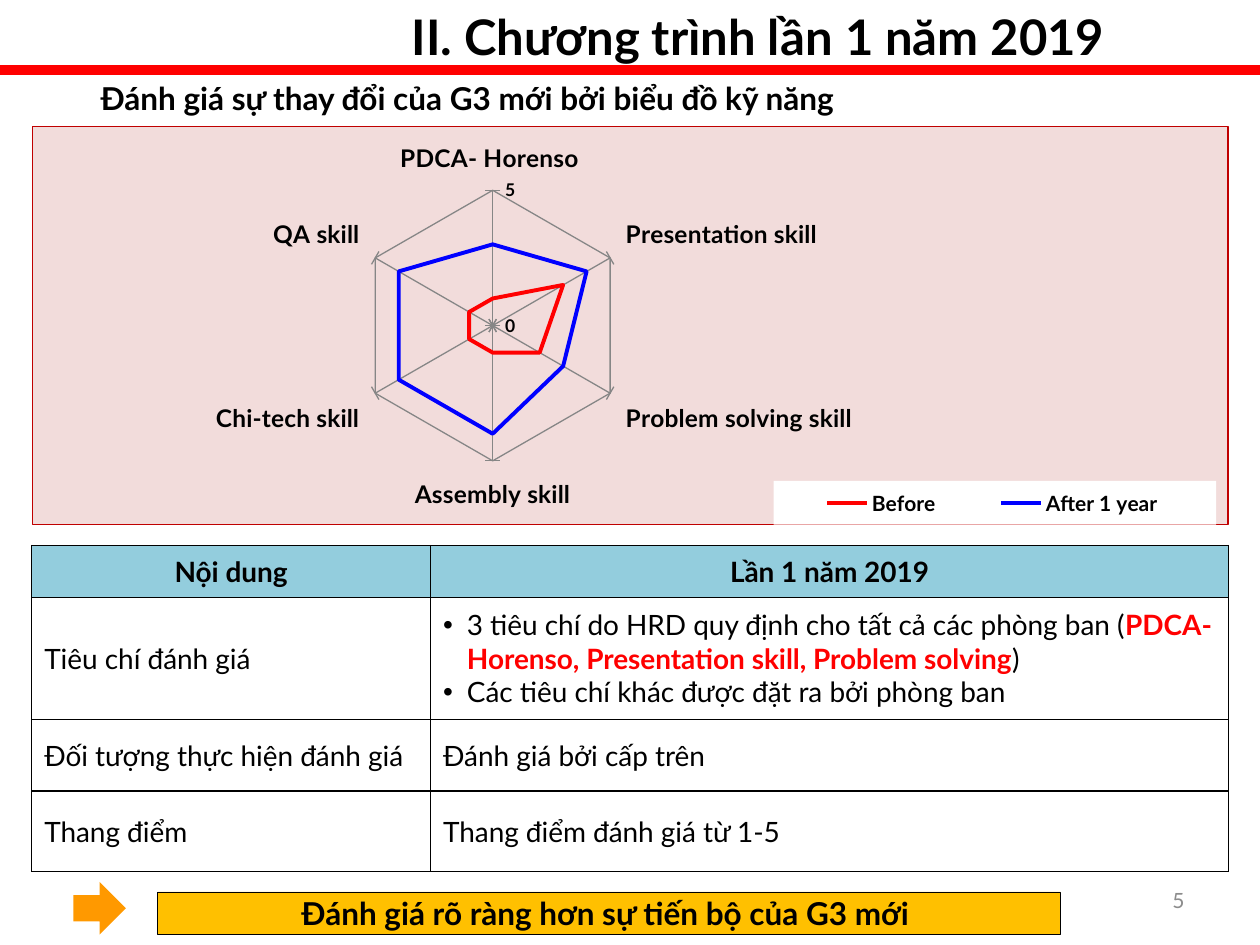
from lxml.etree import SubElement
from pptx import Presentation
from pptx.chart.data import CategoryChartData
from pptx.dml.color import RGBColor
from pptx.enum.chart import XL_CHART_TYPE as ChartType, XL_LEGEND_POSITION as LegendPos
from pptx.enum.chart import XL_TICK_MARK as Tick
from pptx.enum.shapes import MSO_SHAPE as Shape
from pptx.enum.text import MSO_ANCHOR as Anchor, PP_ALIGN as Align
from pptx.oxml import parse_xml
from pptx.oxml.ns import nsdecls, qn
from pptx.util import Cm, Pt

FONT = "Lato"
COLORS = {
    "black": "000000", "white": "FFFFFF", "red": "FF0000", "blue": "0000FF",
    "header": "93CDDD", "amber": "FFC000", "orange": "FF9900",
    "pink": "F2DCDB", "frame": "C00000", "grid": "868686", "number": "8C8C8C",
}
SKILLS = ["PDCA- Horenso ", "Presentation skill", "Problem solving skill",
          "Assembly skill", "Chi-tech skill", "QA skill"]
SCORES = [("Before ", [1, 3, 2, 1, 1, 1], "red"),
          ("After 1 year ", [3, 4, 3, 4, 4, 4], "blue")]
CRITERIA = [
    [("3 tiêu chí do HRD quy định cho tất cả các phòng ban (", {}),
     ("PDCA-Horenso, Presentation skill, Problem solving", {"bold": True, "color": "red"}),
     (")", {})],
    [("Các tiêu chí khác được đặt ra bởi phòng ban", {})],
]
ROWS = [
    ("Nội dung", "Lần 1 năm 2019"),
    ("Tiêu chí đánh giá", CRITERIA),
    ("Đối tượng thực hiện đánh giá", "Đánh giá bởi cấp trên"),
    ("Thang điểm", "Thang điểm đánh giá từ 1-5"),
]
COLUMN_WIDTHS = [8.04, 16.09]
ROW_HEIGHTS = [1.04, 2.46, 1.45, 1.62]


def rgb(name):
    return RGBColor.from_string(COLORS[name])


def box(*lengths):
    return [Cm(length) for length in lengths]


def style_font(font, size, bold=False, color="black"):
    font.name, font.size, font.bold = FONT, Pt(size), bold
    font.color.rgb = rgb(color)


def write(frame, text, size=16, bold=False, color="black", align=Align.LEFT,
          anchor=Anchor.MIDDLE, bullet=False):
    """Fill a frame with a string or with paragraphs of (text, format) runs."""
    frame.word_wrap = True
    frame.vertical_anchor = anchor
    paragraphs = [[(text, {})]] if isinstance(text, str) else text
    for index, runs in enumerate(paragraphs):
        paragraph = frame.add_paragraph() if index else frame.paragraphs[0]
        paragraph.alignment = align
        if bullet:
            props = paragraph._p.get_or_add_pPr()
            props.set("marL", str(Cm(0.48)))
            props.set("indent", str(-Cm(0.48)))
            SubElement(props, qn("a:buFont")).set("typeface", "Arial")
            SubElement(props, qn("a:buChar")).set("char", "•")
        for words, changes in runs:
            run = paragraph.add_run()
            run.text = words
            style_font(run.font, **{"size": size, "bold": bold, "color": color, **changes})


def add_text(slide, place, text, **text_format):
    write(slide.shapes.add_textbox(*box(*place)).text_frame, text, **text_format)


def add_block(slide, kind, place, fill=None, line=None, width=1, text=None, **text_format):
    block = slide.shapes.add_shape(kind, *box(*place))
    block.shadow.inherit = False
    if fill:
        block.fill.solid()
        block.fill.fore_color.rgb = rgb(fill)
    else:
        block.fill.background()
    if line:
        block.line.color.rgb = rgb(line)
        block.line.width = Pt(width)
    else:
        block.line.fill.background()
    if text:
        write(block.text_frame, text, **text_format)


def border_cell(cell):
    props = cell._tc.get_or_add_tcPr()
    for index, side in enumerate(("lnL", "lnR", "lnT", "lnB")):
        props.insert(index, parse_xml(
            f'<a:{side} {nsdecls("a")} w="{Pt(1)}"><a:solidFill>'
            f'<a:srgbClr val="{COLORS["black"]}"/></a:solidFill></a:{side}>'))


def add_criteria_table(slide):
    place = box(0.64, 11, sum(COLUMN_WIDTHS), sum(ROW_HEIGHTS))
    table = slide.shapes.add_table(len(ROWS), len(COLUMN_WIDTHS), *place).table
    table.first_row = table.horz_banding = False
    for column, width in zip(table.columns, COLUMN_WIDTHS):
        column.width = Cm(width)
    for r, (row, height) in enumerate(zip(ROWS, ROW_HEIGHTS)):
        table.rows[r].height = Cm(height)
        is_header = r == 0
        for c, text in enumerate(row):
            cell = table.cell(r, c)
            write(cell.text_frame, text, bold=is_header, bullet=text is CRITERIA,
                  align=Align.CENTER if is_header else Align.LEFT)
            cell.vertical_anchor = Anchor.MIDDLE
            if is_header:
                cell.fill.solid()
                cell.fill.fore_color.rgb = rgb("header")
            else:
                cell.fill.background()
            border_cell(cell)


def chart_fill(fill, line=None):
    outline = (f'<a:ln w="{Pt(0.75)}"><a:solidFill><a:srgbClr val="{COLORS[line]}"/>'
               '</a:solidFill></a:ln>' if line else '<a:ln><a:noFill/></a:ln>')
    return parse_xml(f'<c:spPr {nsdecls("c", "a")}><a:solidFill><a:srgbClr '
                     f'val="{COLORS[fill]}"/></a:solidFill>{outline}</c:spPr>')


def chart_layout(x, y, w, h, inner=False):
    """Place a chart part by fractions of the chart area."""
    target = '<c:layoutTarget val="inner"/>' if inner else ""
    sizes = "".join(f'<c:{tag} val="{value}"/>' for tag, value in zip("xywh", (x, y, w, h)))
    return parse_xml(f'<c:layout {nsdecls("c")}><c:manualLayout>{target}'
                     '<c:xMode val="edge"/><c:yMode val="edge"/>'
                     f'{sizes}</c:manualLayout></c:layout>')


def style_axis(axis, size):
    axis.has_major_gridlines = True
    axis.major_tick_mark = Tick.CROSS
    style_font(axis.tick_labels.font, size, bold=True)
    for line in (axis.format.line, axis.major_gridlines.format.line):
        line.color.rgb = rgb("grid")
        line.width = Pt(0.75)


def add_skill_chart(slide):
    data = CategoryChartData()
    data.categories = SKILLS
    for name, values, _ in SCORES:
        data.add_series(name, values)
    chart = slide.shapes.add_chart(ChartType.RADAR, *box(0.64, 2.54, 24.13, 8.05), data).chart
    style_font(chart.font, 10)
    chart.has_title = False
    style_axis(chart.category_axis, 14)
    style_axis(chart.value_axis, 10)
    scale = chart.value_axis
    scale.minimum_scale, scale.maximum_scale, scale.major_unit = 0, 5, 5
    chart.plots[0].vary_by_categories = False
    for series, (_, _, color) in zip(chart.plots[0].series, SCORES):
        series.smooth = False
        series.format.line.color.rgb = rgb(color)
        series.format.line.width = Pt(2.25)

    chart.has_legend = True
    legend = chart.legend
    legend.position = LegendPos.RIGHT
    legend.include_in_layout = False
    style_font(legend.font, 12, bold=True)
    legend_xml = legend._element
    for old in legend_xml.findall(qn("c:layout")):
        legend_xml.remove(old)
    legend_xml.find(qn("c:overlay")).addprevious(chart_layout(0.62, 0.89, 0.37, 0.11))
    legend_xml.find(qn("c:txPr")).addprevious(chart_fill("white"))

    plot_area = chart._chartSpace.chart.plotArea
    for old in plot_area.findall(qn("c:layout")):
        plot_area.remove(old)
    plot_area.insert(0, chart_layout(0.27, 0.16, 0.23, 0.68, inner=True))
    plot_area.append(chart_fill("white"))
    chart._chartSpace.chart.addnext(chart_fill("pink", "frame"))


def main():
    deck = Presentation()
    deck.slide_width, deck.slide_height = box(25.4, 19.05)
    slide = deck.slides.add_slide(deck.slide_layouts[6])
    add_block(slide, Shape.RECTANGLE, (0, 1.35, 25.4, 0.13), "red", "red", 2)
    add_criteria_table(slide)
    add_block(slide, Shape.ROUNDED_RECTANGLE, (0.43, 1.47, 17.98, 0.99),
              text="Đánh giá sự thay đổi của G3 mới bởi biểu đồ kỹ năng",
              size=18, bold=True, align=Align.CENTER)
    add_block(slide, Shape.RECTANGLE, (3.18, 17.98, 18.2, 0.85), "amber", "black", 0.25,
              text="Đánh giá rõ ràng hơn sự tiến bộ của G3 mới ",
              size=18, bold=True, align=Align.CENTER)
    add_block(slide, Shape.RIGHT_ARROW, (1.48, 17.78, 1.06, 1.06), "orange")
    add_text(slide, (18.2, 17.65, 5.93, 1.01), "5", size=12, color="number", align=Align.RIGHT)
    add_skill_chart(slide)
    add_text(slide, (8.05, 0, 17.35, 1.45), "II. Chương trình lần 1 năm 2019",
             size=28, bold=True, anchor=Anchor.TOP)
    deck.save("out.pptx")


if __name__ == "__main__":
    main()
